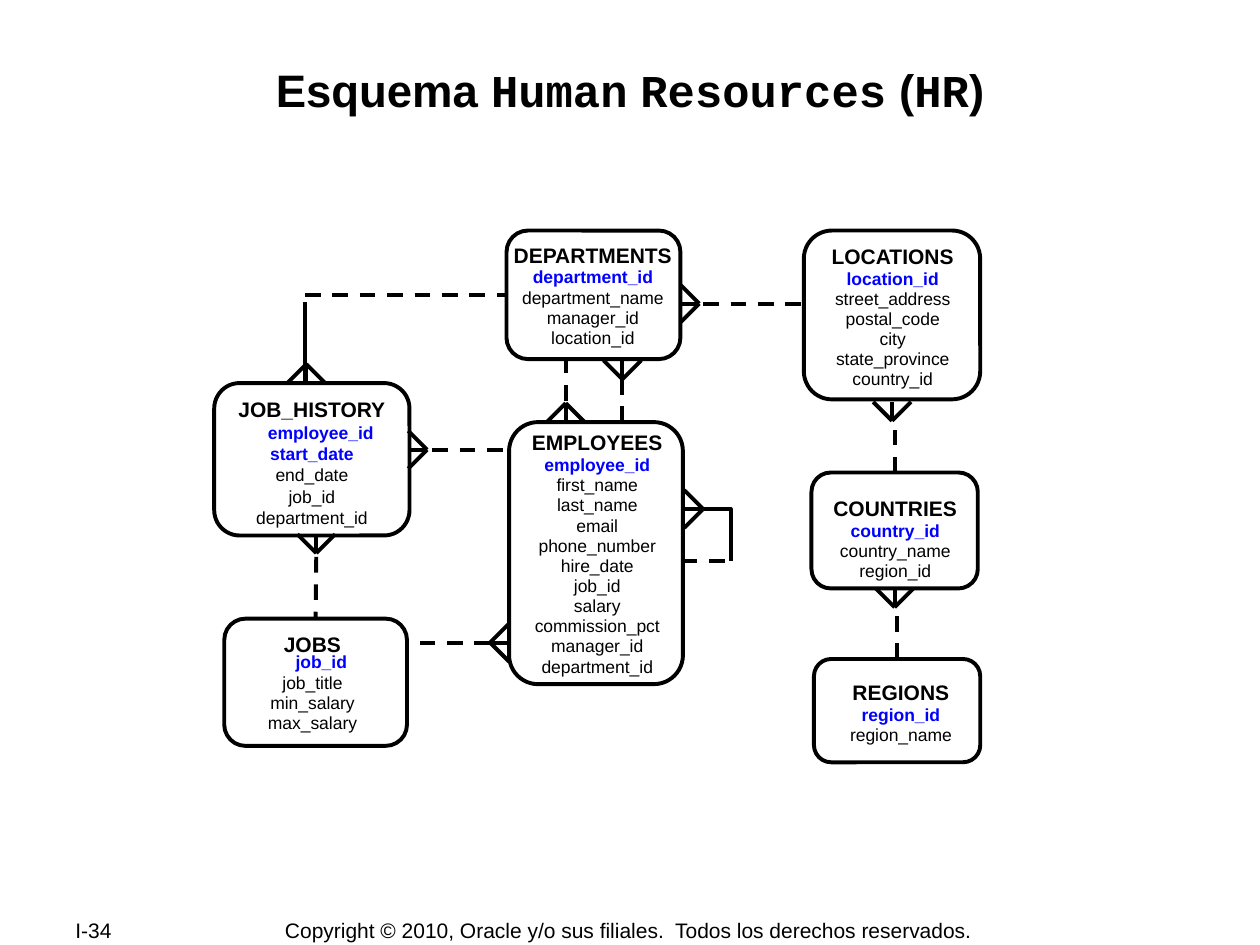
from lxml.etree import SubElement
from pptx import Presentation
from pptx.dml.color import RGBColor
from pptx.enum.dml import MSO_LINE
from pptx.enum.shapes import MSO_CONNECTOR, MSO_SHAPE
from pptx.enum.text import MSO_ANCHOR, PP_ALIGN
from pptx.oxml.ns import qn
from pptx.util import Inches, Pt

SANS, MONO = "Arial", "Courier New"
BLACK, KEY_BLUE = "000000", "0000FF"
STROKE = 2.25
REACH = 0.15      # length and half width of a crow's foot
SNAP = 0.016      # a line end this near a side's middle is joined to it

# Content
TITLE = [("Esquema ", SANS), ("Human", MONO), (" ", SANS), ("Resources", MONO),
         (" (", SANS), ("HR", MONO), (")", SANS)]
FOOTERS = [
    ("Copyright © 2010, Oracle y/o sus filiales.  Todos los derechos reservados.",
     (2.14, 7.28, 5.7, 0.21), PP_ALIGN.CENTER),
    ("I-34", (0.5, 7.28, 1.06, 0.2), PP_ALIGN.LEFT),
]
# Entity: outline, text area, key columns, other columns
ENTITIES = {
    "DEPARTMENTS": ((4.02, 1.83, 1.38, 1.02), (4.05, 1.92, 1.31, 0.82),
                    ["department_id"],
                    ["department_name", "manager_id", "location_id"]),
    "LOCATIONS": ((6.38, 1.83, 1.4, 1.34), (6.55, 1.93, 1.07, 1.07),
                  ["location_id"],
                  ["street_address", "postal_code", "city", "state_province",
                   "country_id"]),
    "COUNTRIES": ((6.44, 3.75, 1.32, 0.92), (6.55, 3.93, 1.11, 0.68),
                  ["country_id"], ["country_name", "region_id"]),
    "REGIONS": ((6.46, 5.23, 1.32, 0.82), (6.7, 5.39, 0.9, 0.48),
                ["region_id"], ["region_name"]),
    "EMPLOYEES": ((4.04, 3.35, 1.38, 2.08), (3.92, 3.41, 1.64, 1.95),
                  ["employee_id"],
                  ["first_name", "last_name", "email", "phone_number",
                   "hire_date", "job_id", "salary", "commission_pct",
                   "manager_id", "department_id"]),
    "JOB_HISTORY": ((1.7, 3.04, 1.55, 1.21), (1.82, 3.1, 1.31, 1.07),
                    ["employee_id", "start_date"],
                    ["end_date", "job_id", "department_id"]),
    "JOBS": ((1.78, 4.91, 1.45, 1.01), (2.03, 5.01, 0.9, 0.82),
             ["job_id"], ["job_title", "min_salary", "max_salary"]),
}
# Name and first key share a paragraph: (its spacing, spacing of the rest)
SHARED_HEADING = {"JOB_HISTORY": (1.0, 0.8), "JOBS": (0.75, 0.75)}
DEFAULT_SPACING = (0.75, 0.75)

# Crow's feet: tip and the direction towards the "many" entity
UP, DOWN, LEFT, RIGHT = (0, -1), (0, 1), (-1, 0), (1, 0)
CROWS_FEET = [
    ((7.1, 4.82), UP), ((5.55, 2.41), LEFT), ((2.43, 2.89), DOWN),
    ((4.94, 3.01), UP), ((4.49, 3.2), DOWN), ((3.39, 3.57), LEFT),
    ((2.51, 4.39), UP), ((7.08, 3.34), UP), ((3.89, 5.1), RIGHT),
    ((5.58, 4.04), LEFT),
]
SOLID_LINES = [((2.42, 3.04), (2.42, 2.4))]
DASHED_LINES = [
    ((5.75, 4.45), (5.42, 4.45)), ((3.89, 5.1), (3.22, 5.1)),
    ((3.43, 3.57), (4.02, 3.57)), ((5.58, 2.41), (6.41, 2.41)),
    ((4.49, 3.18), (4.49, 2.85)), ((4.94, 3.35), (4.94, 3.01)),
    ((7.1, 3.75), (7.1, 3.41)), ((7.12, 5.23), (7.12, 4.89)),
    ((2.51, 4.42), (2.51, 4.92)), ((2.42, 2.34), (4.02, 2.34)),
]
MANAGER_LOOP = [(5.43, 4.04), (5.8, 4.04), (5.8, 4.45)]


def rgb(value):
    return RGBColor.from_string(value)


def inches(values):
    return [Inches(v) for v in values]


def add_run(paragraph, text, size, color=BLACK, bold=False, face=SANS):
    run = paragraph.add_run()
    run.text = text
    run.font.size, run.font.bold, run.font.name = Pt(size), bold, face
    run.font.color.rgb = rgb(color)


def add_break(paragraph, size):
    paragraph.add_line_break()
    line_break = paragraph._p.findall(qn("a:br"))[-1]
    SubElement(line_break, qn("a:rPr")).set("sz", str(size * 100))


def style_outline(shape):
    shape.shadow.inherit = False
    shape.fill.background()
    shape.line.color.rgb = rgb(BLACK)
    shape.line.width = Pt(STROKE)


def add_entity(slide, name, outline_area, text_area, keys, columns):
    outline = slide.shapes.add_shape(
        MSO_SHAPE.FLOWCHART_ALTERNATE_PROCESS, *inches(outline_area))
    style_outline(outline)

    frame = slide.shapes.add_textbox(*inches(text_area)).text_frame
    frame.word_wrap = True
    frame.margin_left = frame.margin_right = 0
    heading = [(name, 12, BLACK, True)]
    rows = [(key, 10, KEY_BLUE, True) for key in keys]
    rows += [(column, 10, BLACK, False) for column in columns]
    if name in SHARED_HEADING:
        heading.append(rows.pop(0))
    spacing = SHARED_HEADING.get(name, DEFAULT_SPACING)
    for i, lines in enumerate([heading] + [[row] for row in rows]):
        paragraph = frame.paragraphs[0] if i == 0 else frame.add_paragraph()
        properties = paragraph._p.get_or_add_pPr()
        properties.set("marL", str(Inches(0.14)))
        properties.set("indent", str(-Inches(0.14)))
        paragraph.alignment = PP_ALIGN.CENTER
        paragraph.line_spacing = spacing[min(i, 1)]
        if i:
            paragraph.space_before = Pt(2.5)
        for j, line in enumerate(lines):
            if j:
                add_break(paragraph, 12)
            add_run(paragraph, *line)
    return outline


def side_middles(area):
    x, y, w, h = area
    return [(x + w / 2, y), (x, y + h / 2), (x + w / 2, y + h), (x + w, y + h / 2)]


def add_line(slide, outlines, start, end, dashed=False):
    line = slide.shapes.add_connector(MSO_CONNECTOR.STRAIGHT, *inches(start + end))
    line.line.color.rgb = rgb(BLACK)
    line.line.width = Pt(STROKE)
    if dashed:
        line.line.dash_style = MSO_LINE.DASH
    SubElement(line._element.spPr, qn("a:effectLst"))
    for (x, y), join in ((start, line.begin_connect), (end, line.end_connect)):
        for name, outline in outlines.items():
            for side, (mx, my) in enumerate(side_middles(ENTITIES[name][0])):
                if max(abs(x - mx), abs(y - my)) < SNAP:
                    join(outline, side)


def main():
    deck = Presentation()
    deck.slide_width, deck.slide_height = Inches(10), Inches(7.5)
    slide = deck.slides.add_slide(deck.slide_layouts[5])

    # Title
    title = slide.shapes.title
    title.left, title.top, title.width, title.height = inches((0.67, 0.48, 8.66, 0.96))
    frame = title.text_frame
    frame.vertical_anchor = MSO_ANCHOR.TOP
    frame.margin_left = frame.margin_right = Inches(0.01)
    frame.margin_top = frame.margin_bottom = Inches(0.01)
    frame.paragraphs[0].alignment = PP_ALIGN.CENTER
    for text, face in TITLE:
        add_run(frame.paragraphs[0], text, 26, bold=True, face=face)

    # Footers
    for text, area, alignment in FOOTERS:
        frame = slide.shapes.add_textbox(*inches(area)).text_frame
        frame.word_wrap = True
        frame.vertical_anchor = MSO_ANCHOR.MIDDLE
        frame.paragraphs[0].alignment = alignment
        add_run(frame.paragraphs[0], text, 12)

    # Entities
    outlines = {name: add_entity(slide, name, *parts)
                for name, parts in ENTITIES.items()}

    # Relationships: each crow's foot is two prongs and a stem
    for (x, y), (dx, dy) in CROWS_FEET:
        for spread in (-REACH, 0, REACH):
            base = (x + dx * REACH + dy * spread, y + dy * REACH + dx * spread)
            add_line(slide, outlines, (x, y), base)
    for start, end in SOLID_LINES:
        add_line(slide, outlines, start, end)
    for start, end in DASHED_LINES:
        add_line(slide, outlines, start, end, dashed=True)

    # Employee to manager loop
    first, *rest = [tuple(inches(point)) for point in MANAGER_LOOP]
    builder = slide.shapes.build_freeform(*first)
    builder.add_line_segments(rest, close=False)
    style_outline(builder.convert_to_shape())

    deck.save("out.pptx")


if __name__ == "__main__":
    main()
